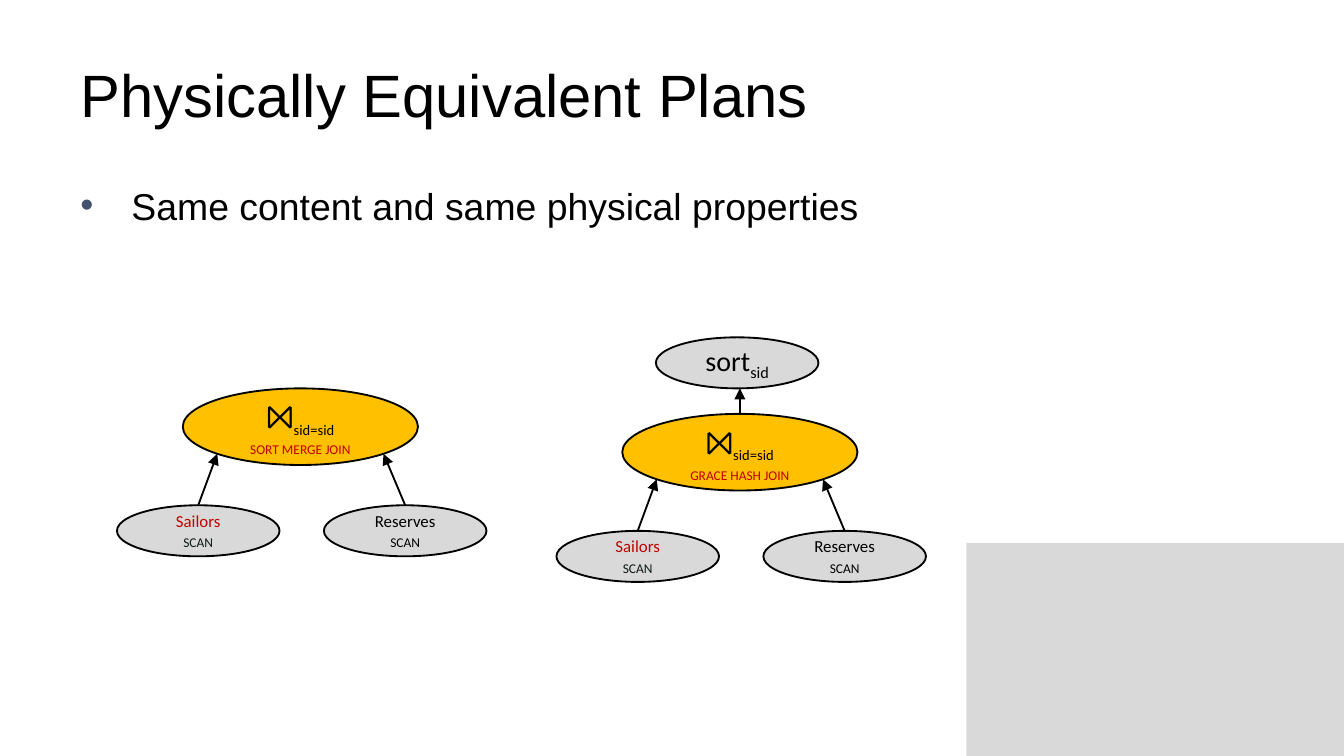
"""Build the slide comparing two physically equivalent query plans."""
import dataclasses
import math
import typing

import lxml.etree
import pptx
import pptx.dml.color
import pptx.enum.shapes
import pptx.enum.text
import pptx.oxml.ns
import pptx.util
from pptx.util import Inches

BLACK, RED, GREY, GOLD = "000000", "C00000", "D9D9D9", "FFC000"
SLIDE_WIDTH = 10
SLIDE_HEIGHT = SLIDE_WIDTH * 9 / 16
LEAF_SIZE = (1.21, 0.38)
JOIN_SIZE = (1.75, 0.57)
LEAF_DROP = 0.87
SORT_OFFSET = 0.25
SORT_RISE = 0.57
DIAGONAL = math.sqrt(0.5)


@dataclasses.dataclass(frozen=True)
class Piece:
    text: str
    size: float
    color: str = BLACK
    font: str = "Calibri"
    subscript: bool = False
    small_caps: bool = False


@dataclasses.dataclass(frozen=True)
class Leaf:
    table: str
    offset: float
    side: int
    table_color: str
    scan_color: str


@dataclasses.dataclass(frozen=True)
class Plan:
    left: float
    top: float
    method: str
    sorted_after: bool


LEAVES = (
    Leaf("Sailors", -0.49, -1, RED, "0E1817"),
    Leaf("Reserves", 1.05, 1, BLACK, BLACK),
)
PLANS = (
    Plan(1.36, 2.89, "sort merge join", False),
    Plan(4.63, 3.08, "grace hash join", True),
)


def rgb(color: str) -> pptx.dml.color.RGBColor:
    return pptx.dml.color.RGBColor.from_string(color)


def format_font(font, name: str, size: float, color: str) -> None:
    font.name = name
    font.size = pptx.util.Pt(size)
    font.color.rgb = rgb(color)


def add_filled(slide, kind, left: float, top: float, width: float, height: float, color: str):
    shape = slide.shapes.add_shape(
        kind, Inches(left), Inches(top), Inches(width), Inches(height))
    shape.shadow.inherit = False
    shape.fill.solid()
    shape.fill.fore_color.rgb = rgb(color)
    shape.line.fill.background()
    return shape


def add_piece(paragraph, piece: Piece) -> None:
    run = paragraph.add_run()
    run.text = piece.text
    format_font(run.font, piece.font, piece.size, piece.color)
    properties = run.font._element
    if piece.subscript:
        properties.set("baseline", "-25000")
    if piece.small_caps:
        properties.set("cap", "small")


def add_node(slide, left: float, top: float, size: tuple[float, float], color: str,
             paragraphs: typing.Sequence[typing.Sequence[Piece | None]]):
    """Draw an ellipse with its text; None stands for a line break."""
    shape = add_filled(slide, pptx.enum.shapes.MSO_SHAPE.OVAL, left, top, *size, color)
    shape.line.color.rgb = rgb(BLACK)
    shape.line.width = pptx.util.Pt(1)
    frame = shape.text_frame
    frame.word_wrap = True
    frame.vertical_anchor = pptx.enum.text.MSO_ANCHOR.MIDDLE
    frame.margin_left = frame.margin_right = Inches(0.07)
    frame.margin_top = frame.margin_bottom = Inches(0.04)
    for index, pieces in enumerate(paragraphs):
        paragraph = frame.add_paragraph() if index else frame.paragraphs[0]
        paragraph.alignment = pptx.enum.text.PP_ALIGN.CENTER
        for piece in pieces:
            if piece is None:
                paragraph.add_line_break()
            else:
                add_piece(paragraph, piece)
    return shape


def add_arrow(slide, source, end_x: float, end_y: float) -> None:
    """Draw an arrow from the top of a node to a point."""
    connector = slide.shapes.add_connector(
        pptx.enum.shapes.MSO_CONNECTOR.STRAIGHT,
        source.left + source.width // 2, source.top, Inches(end_x), Inches(end_y))
    connector.begin_connect(source, 0)
    connector.line.color.rgb = rgb(BLACK)
    connector.line.width = pptx.util.Pt(1)
    qualified = pptx.oxml.ns.qn
    lxml.etree.SubElement(
        connector.line._get_or_add_ln(), qualified("a:tailEnd"), type="triangle")
    lxml.etree.SubElement(connector._element.spPr, qualified("a:effectLst"))


def add_plan(slide, plan: Plan) -> None:
    width, height = JOIN_SIZE
    center_x, center_y = plan.left + width / 2, plan.top + height / 2
    for leaf in LEAVES:
        node = add_node(
            slide, plan.left + leaf.offset, plan.top + LEAF_DROP, LEAF_SIZE, GREY,
            [[Piece(leaf.table, 9, leaf.table_color)],
             [Piece("scan", 9, leaf.scan_color, small_caps=True)]])
        add_arrow(slide, node, center_x + leaf.side * DIAGONAL * width / 2,
                  center_y + DIAGONAL * height / 2)
    join = add_node(
        slide, plan.left, plan.top, JOIN_SIZE, GOLD,
        [[Piece("⨝", 18, font="Arial"), Piece("sid=sid", 13.5, subscript=True), None,
          Piece(plan.method, 9, RED, small_caps=True)]])
    if plan.sorted_after:
        sort_top = plan.top - SORT_RISE
        add_node(slide, plan.left + SORT_OFFSET, sort_top, LEAF_SIZE, GREY,
                 [[Piece("sort", 15), Piece("sid", 15, subscript=True)]])
        add_arrow(slide, join, center_x, sort_top + LEAF_SIZE[1])


def add_title(slide, text: str) -> None:
    title = slide.shapes.title
    title.left, title.top = Inches(0.5), Inches(0.23)
    title.width, title.height = Inches(9), Inches(0.94)
    title.text_frame.text = text
    title.text_frame.vertical_anchor = pptx.enum.text.MSO_ANCHOR.MIDDLE
    paragraph = title.text_frame.paragraphs[0]
    paragraph.alignment = pptx.enum.text.PP_ALIGN.LEFT
    format_font(paragraph.runs[0].font, "Arial", 32, BLACK)


def add_bullet(slide, text: str) -> None:
    box = slide.shapes.add_textbox(Inches(0.5), Inches(1.31), Inches(9), Inches(3.71))
    box.text_frame.word_wrap = True
    box.text_frame.text = text
    paragraph = box.text_frame.paragraphs[0]
    properties = paragraph._element.get_or_add_pPr()
    properties.set("marL", str(Inches(0.38)))
    properties.set("indent", str(-Inches(0.38)))
    qualified = pptx.oxml.ns.qn
    bullet_color = lxml.etree.SubElement(properties, qualified("a:buClr"))
    lxml.etree.SubElement(bullet_color, qualified("a:srgbClr"), val="44516F")
    lxml.etree.SubElement(properties, qualified("a:buFont"), typeface="Arial")
    lxml.etree.SubElement(properties, qualified("a:buChar"), char="•")
    format_font(paragraph.runs[0].font, "Arial", 20, BLACK)


def main() -> None:
    presentation = pptx.Presentation()
    presentation.slide_width = Inches(SLIDE_WIDTH)
    presentation.slide_height = Inches(SLIDE_HEIGHT)
    slide = presentation.slides.add_slide(presentation.slide_layouts[5])
    add_filled(slide, pptx.enum.shapes.MSO_SHAPE.RECTANGLE, 7.19, 4.04,
               SLIDE_WIDTH - 7.19, SLIDE_HEIGHT - 4.04, GREY)
    add_title(slide, "Physically Equivalent Plans")
    add_bullet(slide, "Same content and same physical properties")
    for plan in PLANS:
        add_plan(slide, plan)
    presentation.save("out.pptx")


if __name__ == "__main__":
    main()
